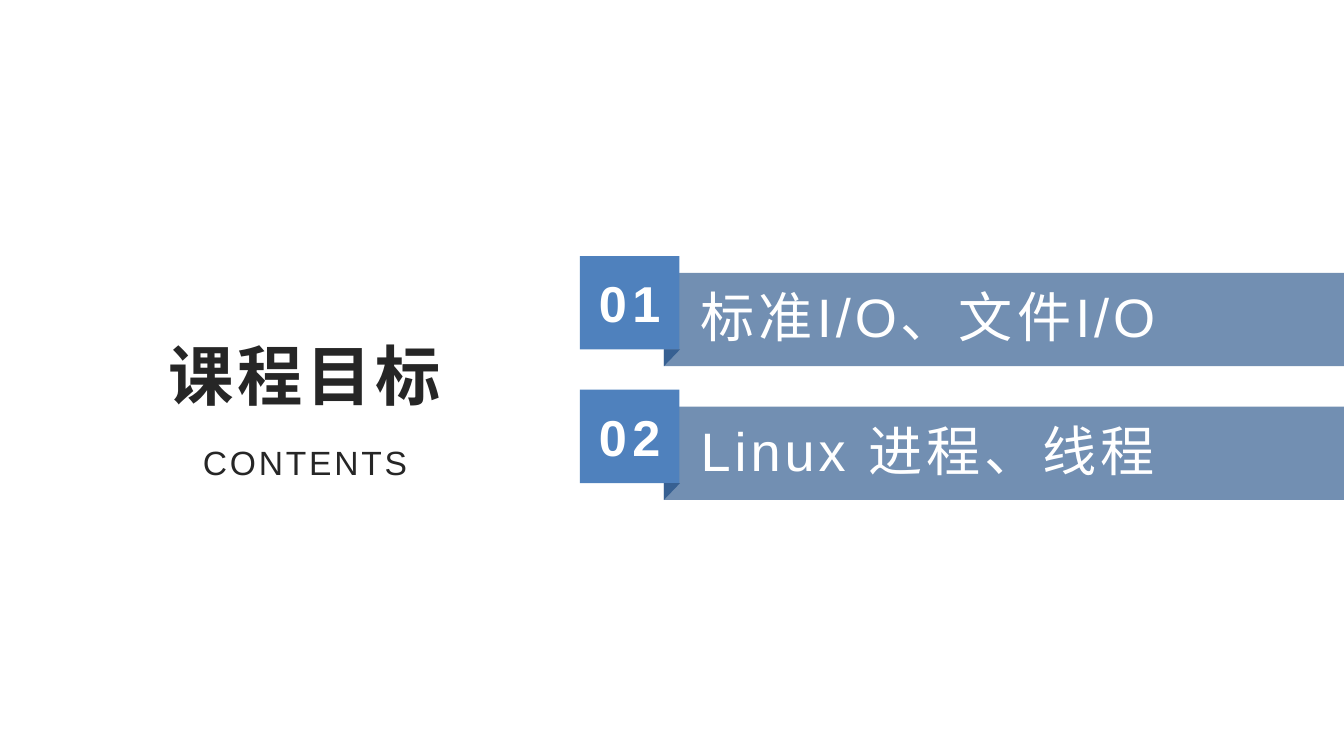
from dataclasses import dataclass

import pptx
import pptx.dml.color
import pptx.enum.shapes
import pptx.enum.text
import pptx.oxml
import pptx.oxml.ns
import pptx.util

EMU_PER_PX = 4572
DARK = pptx.dml.color.RGBColor(0x26, 0x26, 0x26)
WHITE = pptx.dml.color.RGBColor(0xFF, 0xFF, 0xFF)
NAVY = pptx.dml.color.RGBColor(0x37, 0x60, 0x92)
BLUE = pptx.dml.color.RGBColor(0x4F, 0x81, 0xBD)

ALIGN = pptx.enum.text.PP_ALIGN
ANCHOR = pptx.enum.text.MSO_ANCHOR
PRESET = pptx.enum.shapes.MSO_SHAPE

FIRST_TOP = 381
PITCH = 199


@dataclass(frozen=True)
class Area:
    left: int
    top: int
    width: int
    height: int

    def emu(self) -> list[pptx.util.Emu]:
        return [px(n) for n in (self.left, self.top, self.width, self.height)]


@dataclass(frozen=True)
class TextStyle:
    size: int
    color: pptx.dml.color.RGBColor
    tracking: float
    para: dict
    frame: dict
    bold: bool = False


@dataclass(frozen=True)
class Topic:
    number: str
    name: str


CENTERED = {"alignment": ALIGN.CENTER}
MIDDLE = {"vertical_anchor": ANCHOR.MIDDLE}
NO_MARGINS = {f"margin_{side}": 0 for side in ("left", "top", "right", "bottom")}

TITLE = TextStyle(35, DARK, 1.9, CENTERED, {"vertical_anchor": ANCHOR.BOTTOM}, True)
SUBTITLE = TextStyle(18, DARK, 1.5, CENTERED | {"line_spacing": 1.3}, MIDDLE)
NUMBER = TextStyle(27, WHITE, 3, CENTERED, MIDDLE | NO_MARGINS, True)
NAME = TextStyle(
    29, WHITE, 2.1,
    {"alignment": ALIGN.LEFT, "line_spacing": 0.9, "space_after": pptx.util.Pt(8)},
    MIDDLE,
)

TOPICS = [Topic("01", "标准I/O、文件I/O"), Topic("02", "Linux 进程、线程")]


def px(count: int) -> pptx.util.Emu:
    return pptx.util.Emu(count * EMU_PER_PX)


def apply(target, values: dict) -> None:
    for name, value in values.items():
        setattr(target, name, value)


def write(box, text: str, style: TextStyle) -> None:
    frame = box.text_frame
    apply(frame, {"word_wrap": True, "auto_size": pptx.enum.text.MSO_AUTO_SIZE.NONE})
    apply(frame, style.frame)
    para = frame.paragraphs[0]
    apply(para, style.para)
    span = para.add_run()
    span.text = text
    apply(span.font, {"name": "Arial", "size": pptx.util.Pt(style.size), "bold": style.bold})
    span.font.color.rgb = style.color
    span._r.get_or_add_rPr().set("spc", str(round(style.tracking * 100)))


def add_text(page, area: Area, text: str, style: TextStyle) -> None:
    write(page.shapes.add_textbox(*area.emu()), text, style)


def add_block(page, preset, area: Area, color: pptx.dml.color.RGBColor):
    shape = page.shapes.add_shape(preset, *area.emu())
    shape.shadow.inherit = False
    shape.fill.solid()
    shape.fill.fore_color.rgb = color
    shape.line.fill.background()
    return shape


def set_opacity(shape, percent: int) -> None:
    color = shape._element.spPr.find(".//" + pptx.oxml.ns.qn("a:srgbClr"))
    alpha = pptx.oxml.parse_xml(
        f'<a:alpha {pptx.oxml.ns.nsdecls("a")} val="{percent * 1000}"/>'
    )
    color.append(alpha)


def add_topic(page, topic: Topic, top: int) -> None:
    banner = add_block(page, PRESET.RECTANGLE, Area(988, top + 25, 1012, 139), NAVY)
    set_opacity(banner, 70)
    add_block(page, PRESET.RECTANGLE, Area(863, top, 148, 139), BLUE)
    fold = add_block(page, PRESET.RIGHT_TRIANGLE, Area(988, top + 139, 24, 25), NAVY)
    fold._element.spPr.xfrm.set("flipV", "1")
    add_text(page, Area(875, top + 14, 124, 110), topic.number, NUMBER)
    add_text(page, Area(1023, top + 35, 850, 120), topic.name, NAME)


def main() -> None:
    deck = pptx.Presentation()
    apply(deck, {"slide_width": px(2000), "slide_height": px(1125)})
    page = deck.slides.add_slide(deck.slide_layouts.get_by_name("Title Only"))

    title = page.shapes.title
    apply(title, dict(zip(("left", "top", "width", "height"), Area(225, 396, 458, 230).emu())))
    write(title, "课程目标", TITLE)
    add_text(page, Area(225, 626, 458, 104), "CONTENTS", SUBTITLE)

    for index, topic in enumerate(TOPICS):
        add_topic(page, topic, FIRST_TOP + index * PITCH)

    deck.save("out.pptx")


if __name__ == "__main__":
    main()
